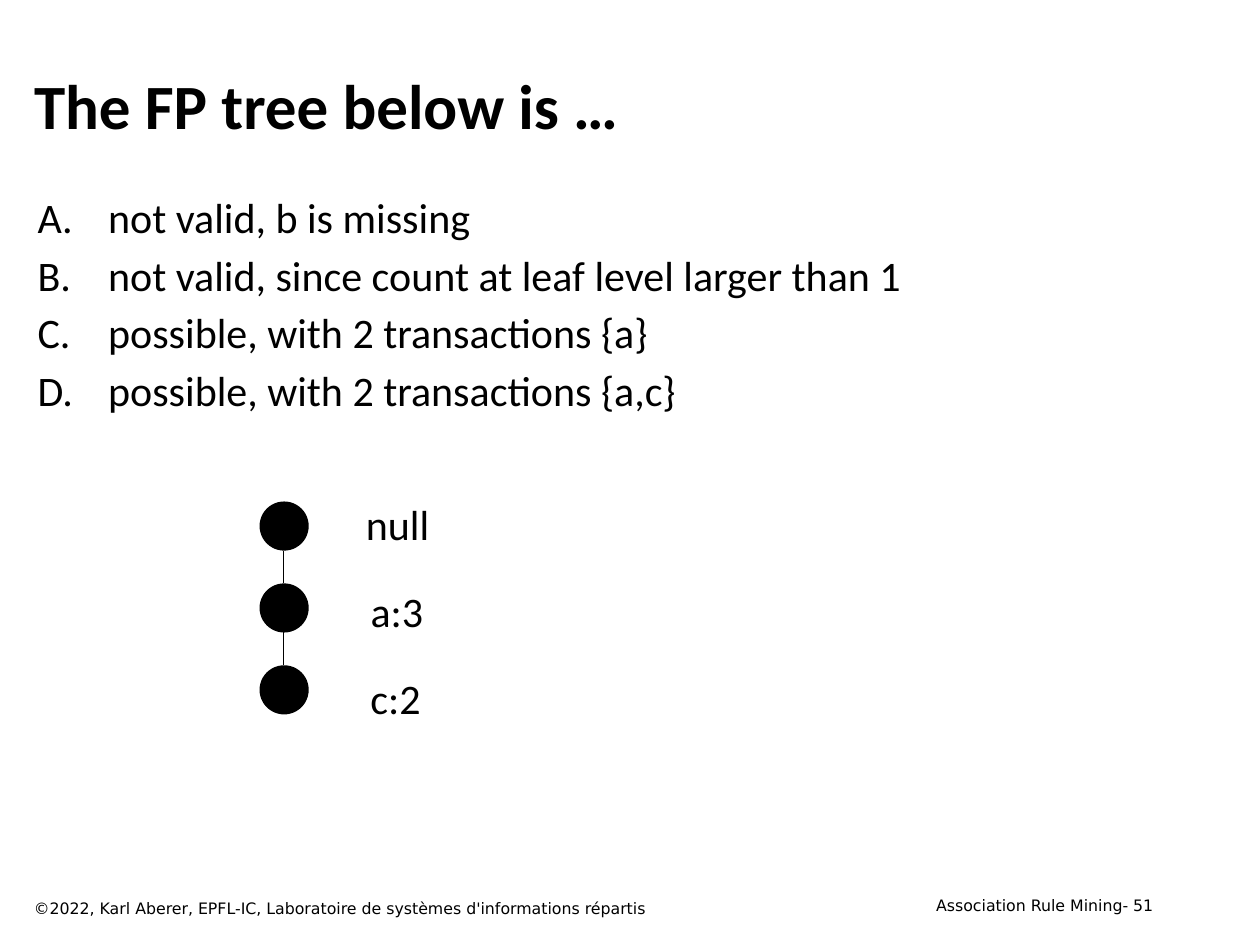
from lxml import etree
from pptx import Presentation, util as u
from pptx.dml.color import RGBColor
from pptx.enum import shapes, text
from pptx.oxml import ns

BLACK = "000000"
BODY, SMALL = "Calibri", "DejaVu Sans"
LEFT, RIGHT = text.PP_ALIGN.LEFT, text.PP_ALIGN.RIGHT
CENTER = text.PP_ALIGN.CENTER


def color(code):
    return RGBColor.from_string(code)


def write(para, words, size=24, font=BODY, bold=False, align=LEFT, before=0):
    """Put formatted text into a paragraph."""
    para.text = words
    para.alignment = align
    para.space_before = u.Pt(before)
    face = para.font
    face.size, face.name, face.bold = u.Pt(size), font, bold
    face.color.rgb = color(BLACK)


def letter(para, indent):
    """Number a paragraph A., B., C. with a hanging indent."""
    props = para._p.get_or_add_pPr()
    props.set("marL", str(u.Inches(indent)))
    props.set("indent", str(-u.Inches(indent)))
    font = etree.SubElement(props, ns.qn("a:buFont"))
    font.set("typeface", "+mj-lt")
    mark = etree.SubElement(props, ns.qn("a:buAutoNum"))
    mark.set("type", "alphaUcPeriod")


class Page:
    def __init__(self, deck):
        self.slide = deck.slides.add_slide(deck.slide_layouts[5])
        self.items = self.slide.shapes
        self.ink = color(BLACK)

    def title(self, words, x, y, w, h):
        box = self.items.title
        box.left, box.top = u.Inches(x), u.Inches(y)
        box.width, box.height = u.Inches(w), u.Inches(h)
        box.text_frame.vertical_anchor = text.MSO_ANCHOR.MIDDLE
        write(box.text_frame.paragraphs[0], words, size=36, bold=True)

    def box(self, x, y, w, h, wrap=True):
        box = self.items.add_textbox(*map(u.Inches, (x, y, w, h)))
        box.text_frame.word_wrap = wrap
        return box.text_frame

    def label(self, words, x, y, w, h, wrap=True, **style):
        frame = self.box(x, y, w, h, wrap)
        write(frame.paragraphs[0], words, **style)

    def choices(self, lines, x, y, w, h):
        frame = self.box(x, y, w, h)
        for i, line in enumerate(lines):
            para = frame.add_paragraph() if i else frame.paragraphs[0]
            letter(para, 0.56)
            write(para, line, before=4.2 if i else 0)

    def node(self, x, y, size):
        dot = self.items.add_shape(
            shapes.MSO_SHAPE.OVAL, *map(u.Inches, (x, y, size, size)))
        dot.shadow.inherit = False
        dot.fill.solid()
        dot.fill.fore_color.rgb = self.ink
        dot.line.fill.background()

    def edge(self, x, top, end):
        line = self.items.add_connector(
            shapes.MSO_CONNECTOR.STRAIGHT, *map(u.Inches, (x, top, x, end)))
        line.line.color.rgb = self.ink
        line.line.width = u.Pt(0.75)
        etree.SubElement(line._element.spPr, ns.qn("a:effectLst"))


def main():
    deck = Presentation()
    deck.slide_width, deck.slide_height = u.Inches(10), u.Inches(7.5)
    page = Page(deck)

    # Question and answers
    page.title("The FP tree below is …", 0.17, 0.33, 9.08, 1)
    page.choices([
        "not valid, b is missing",
        "not valid, since count at leaf level larger than 1",
        "possible, with 2 transactions {a}",
        "possible, with 2 transactions {a,c}",
    ], 0.2, 1.47, 9.08, 5.5)

    # Tree: nodes, edges and labels run down at even steps
    left, top, size, step = 2.06, 3.98, 0.39, 0.65
    tags = [("null", 2.8, 0.71), ("a:3", 2.84, 0.62), ("c:2", 2.84, 0.6)]
    for i, (tag, x, width) in enumerate(tags):
        y = top + i * step
        page.node(left, y, size)
        if i:
            page.edge(2.25, y - step + size, y)
        page.label(tag, x, 3.91 + i * 0.69, width, 0.5,
                   wrap=False, align=CENTER)

    # Footer
    page.label("©2022, Karl Aberer, EPFL-IC, Laboratoire de systèmes "
               "d'informations répartis", 0.17, 7.08, 6.42, 0.25,
               size=9, font=SMALL)
    page.label("Association Rule Mining- 51", 7.17, 7.06, 2.08, 0.25,
               size=9, font=SMALL, align=RIGHT)

    deck.save("out.pptx")


if __name__ == "__main__":
    main()
